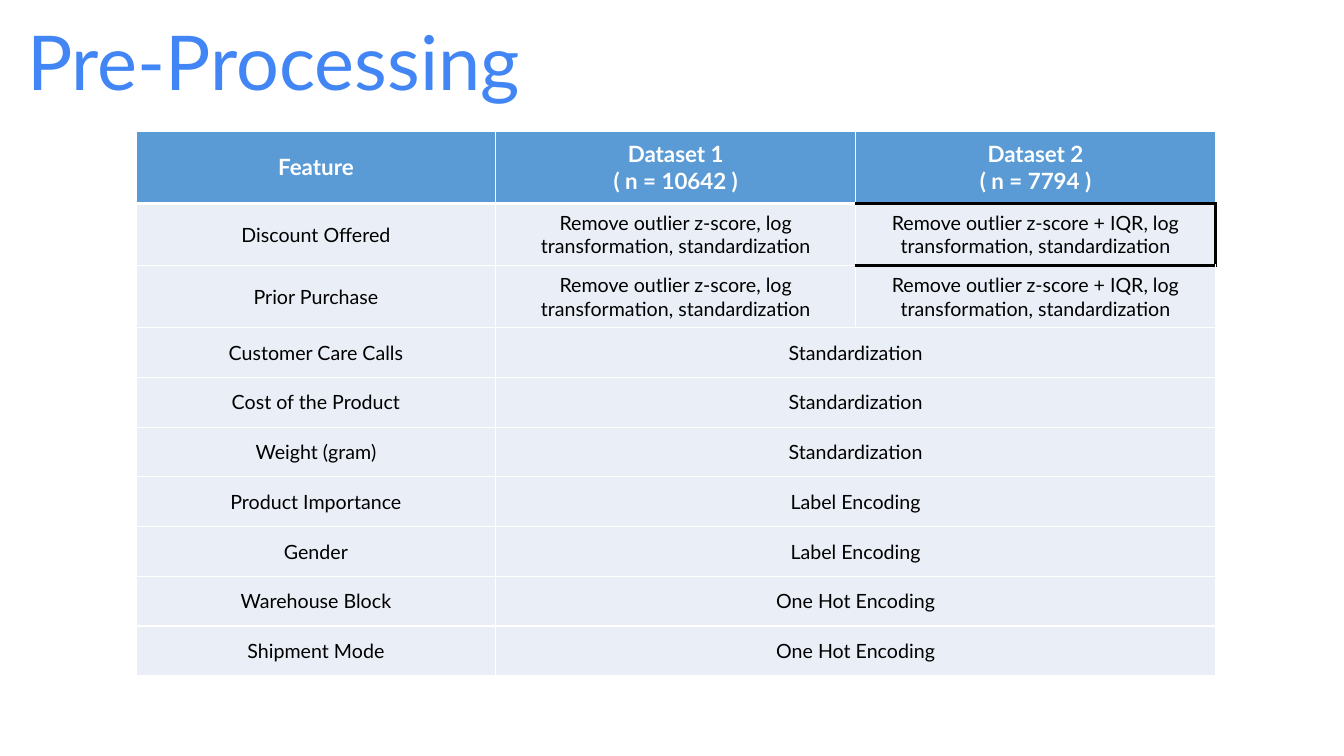
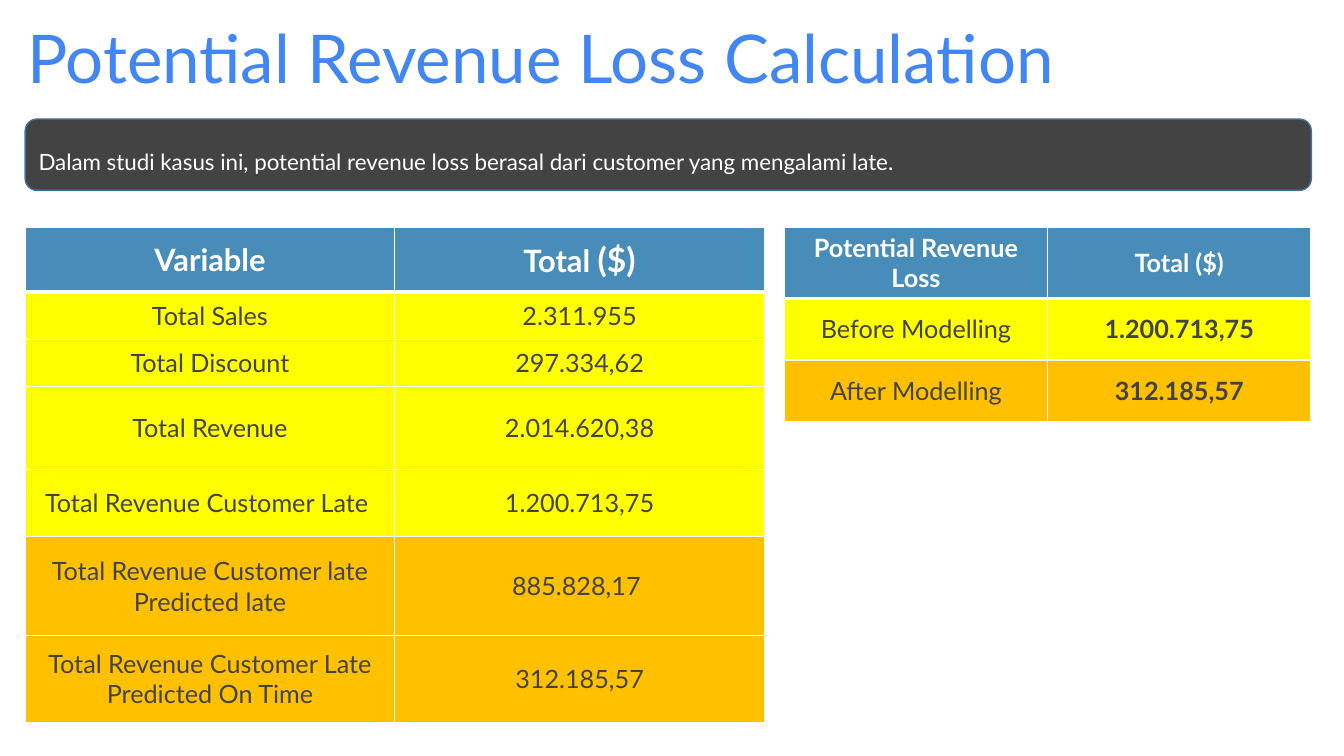
"""Build two slides on data pre-processing and potential revenue loss."""
from dataclasses import dataclass

from lxml import etree
from pptx import Presentation
from pptx.dml.color import RGBColor
from pptx.enum.shapes import MSO_SHAPE
from pptx.enum.text import MSO_ANCHOR, MSO_AUTO_SIZE, PP_ALIGN
from pptx.oxml.ns import qn
from pptx.util import Pt

LEFT, CENTER = PP_ALIGN.LEFT, PP_ALIGN.CENTER
TOP, MIDDLE = MSO_ANCHOR.TOP, MSO_ANCHOR.MIDDLE
NO_AUTOFIT = MSO_AUTO_SIZE.NONE
ROUNDED = MSO_SHAPE.ROUNDED_RECTANGLE
TITLE_ONLY = 5


@dataclass(frozen=True)
class Theme:
    font: str = "Lato"
    title: str = "4285F4"
    white: str = "FFFFFF"
    black: str = "000000"
    charcoal: str = "434343"
    banner_line: str = "43739E"
    feature_header: str = "5B9BD5"
    feature_body: str = "EAEFF7"
    revenue_header: str = "488DBA"
    yellow: str = "FFFF00"
    orange: str = "FFC000"
    title_large: int = 54
    title_small: int = 48
    symbol: int = 24
    header_large: int = 22
    figure: int = 18
    text: int = 16
    feature: int = 14
    hairline: float = 1
    header_rule: float = 3
    outline: float = 2.25


THEME = Theme()


@dataclass(frozen=True)
class CellStyle:
    fill: str
    color: str
    size: int
    bold: bool = False


@dataclass(frozen=True)
class Row:
    height: float
    texts: tuple[str, ...]
    style: CellStyle
    bold_last: bool = False


@dataclass(frozen=True)
class Grid:
    left: float
    top: float
    column_width: float
    columns: int
    rows: tuple[Row, ...]


FEATURE_HEADER = CellStyle(THEME.feature_header, THEME.white, THEME.text, True)
FEATURE_BODY = CellStyle(THEME.feature_body, THEME.black, THEME.feature)
VARIABLE_HEADER = CellStyle(THEME.revenue_header, THEME.white, THEME.header_large, True)
LOSS_HEADER = CellStyle(THEME.revenue_header, THEME.white, THEME.figure, True)
ACTUAL = CellStyle(THEME.yellow, THEME.charcoal, THEME.figure)
PREDICTED = CellStyle(THEME.orange, THEME.charcoal, THEME.figure)

OUTLIER_STEPS = (
    "Remove outlier z-score, log transformation, standardization",
    "Remove outlier z-score + IQR, log transformation, standardization",
)
SHARED_STEPS = (
    ("Customer Care Calls", "Standardization"),
    ("Cost of the Product", "Standardization"),
    ("Weight (gram)", "Standardization"),
    ("Product Importance", "Label Encoding"),
    ("Gender", "Label Encoding"),
    ("Warehouse Block", "One Hot Encoding"),
    ("Shipment Mode", "One Hot Encoding"),
)
FEATURES = Grid(97.2, 93.6, 257, 3, (
    Row(51.8, ("Feature", "Dataset 1\n( n = 10642 )", "Dataset 2\n( n = 7794 )"),
        FEATURE_HEADER),
    *(Row(44.4, (feature, *OUTLIER_STEPS), FEATURE_BODY)
      for feature in ("Discount Offered", "Prior Purchase")),
    *(Row(35.5, step, FEATURE_BODY) for step in SHARED_STEPS),
))
VARIABLES = Grid(18, 162.7, 264, 2, (
    Row(46, ("Variable", "Total "), VARIABLE_HEADER),
    Row(33.8, ("Total Sales", "2.311.955"), ACTUAL),
    Row(33.8, ("Total Discount", "297.334,62"), ACTUAL),
    Row(59, ("Total Revenue", "2.014.620,38"), ACTUAL),
    Row(48.2, ("Total Revenue Customer Late ", "1.200.713,75"), ACTUAL),
    Row(70.6, ("Total Revenue Customer late Predicted late", "885.828,17 "), PREDICTED),
    Row(62, ("Total Revenue Customer Late Predicted On Time", "312.185,57"), PREDICTED),
))
LOSSES = Grid(560.2, 162.7, 188.1, 2, (
    Row(46, ("Potential Revenue Loss", "Total ($)"), LOSS_HEADER),
    Row(44, ("Before Modelling", "1.200.713,75"), ACTUAL, True),
    Row(44, ("After Modelling", "312.185,57"), PREDICTED, True),
))


def rgb(color: str) -> RGBColor:
    """Turn a hex string into a colour."""
    return RGBColor.from_string(color)


def format_text(frame, size: int, color: str, align, bold: bool = False) -> None:
    """Give every paragraph of a text frame one font and alignment."""
    for paragraph in frame.paragraphs:
        paragraph.alignment = align
        font = paragraph.font
        font.name, font.size, font.bold = THEME.font, Pt(size), bold
        font.color.rgb = rgb(color)


def set_border(cell, side: str, color: str, width: float) -> None:
    """Draw one side (L, R, T or B) of a cell, replacing any earlier line."""
    properties = cell._tc.get_or_add_tcPr()
    tag = qn(f"a:ln{side}")
    for earlier in properties.findall(tag):
        properties.remove(earlier)
    line = etree.Element(tag, w=str(Pt(width)))
    fill = etree.SubElement(line, qn("a:solidFill"))
    etree.SubElement(fill, qn("a:srgbClr"), val=color)
    order = [qn(f"a:ln{name}") for name in "LRTB"]
    preceding = order[:order.index(tag)]
    properties.insert(sum(child.tag in preceding for child in properties), line)


def add_title(slide, text: str, width: float, height: float, size: int) -> None:
    """Place and format the slide title."""
    title = slide.shapes.title
    title.left, title.top, title.width, title.height = map(Pt, (12.2, 10.8, width, height))
    frame = title.text_frame
    frame.text = text
    frame.auto_size, frame.vertical_anchor, frame.word_wrap = NO_AUTOFIT, TOP, True
    frame.margin_left = frame.margin_right = frame.margin_top = frame.margin_bottom = Pt(7.2)
    format_text(frame, size, THEME.title, LEFT)
    frame.paragraphs[0].line_spacing = 0.9


def add_grid(slide, grid: Grid):
    """Draw a table, merging the last columns of rows that have fewer texts."""
    height = sum(row.height for row in grid.rows)
    table = slide.shapes.add_table(
        len(grid.rows), grid.columns, Pt(grid.left), Pt(grid.top),
        Pt(grid.column_width * grid.columns), Pt(height)).table
    for column in table.columns:
        column.width = Pt(grid.column_width)
    for index, row in enumerate(grid.rows):
        table.rows[index].height = Pt(row.height)
        last = len(row.texts) - 1
        if last < grid.columns - 1:
            table.cell(index, last).merge(table.cell(index, grid.columns - 1))
        for position in range(grid.columns):
            cell = table.cell(index, position)
            cell.fill.solid()
            cell.fill.fore_color.rgb = rgb(row.style.fill)
            for side in "LRTB":
                below_header = (index, side) in ((0, "B"), (1, "T"))
                set_border(cell, side, THEME.white,
                           THEME.header_rule if below_header else THEME.hairline)
        for position, text in enumerate(row.texts):
            cell = table.cell(index, position)
            cell.vertical_anchor = MIDDLE
            cell.text_frame.text = text
            bold = row.style.bold or (row.bold_last and position == last)
            format_text(cell.text_frame, row.style.size, row.style.color, CENTER, bold)
    return table


def add_banner(slide, text: str) -> None:
    """Draw the dark rounded banner with its statement."""
    banner = slide.shapes.add_shape(ROUNDED, Pt(18), Pt(85), Pt(918.7), Pt(51))
    banner.shadow.inherit = False
    banner.fill.solid()
    banner.fill.fore_color.rgb = rgb(THEME.charcoal)
    banner.line.color.rgb = rgb(THEME.banner_line)
    banner.line.width = Pt(THEME.hairline)
    frame = banner.text_frame
    frame.text = text
    frame.word_wrap, frame.vertical_anchor = True, MIDDLE
    frame.margin_top = Pt(13.2)
    format_text(frame, THEME.text, THEME.white, LEFT)


def build_preprocessing(slide) -> None:
    """Build the table of pre-processing steps per feature."""
    add_title(slide, "Pre-Processing", 587.5, 134.6, THEME.title_large)
    table = add_grid(slide, FEATURES)
    for row, side in ((0, "B"), (1, "T"), (1, "R"), (1, "B"), (2, "T")):
        set_border(table.cell(row, 2), side, THEME.black, THEME.outline)


def build_revenue_loss(slide) -> None:
    """Build the banner and both revenue tables."""
    add_title(slide, "Potential Revenue Loss Calculation", 790.6, 69.1, THEME.title_small)
    add_banner(slide, "Dalam studi kasus ini, potential revenue loss berasal dari "
                      "customer yang mengalami late.")
    variables = add_grid(slide, VARIABLES)
    currency = variables.cell(0, 1).text_frame.paragraphs[0].add_run()
    currency.text = "($)"
    currency.font.size = Pt(THEME.symbol)
    add_grid(slide, LOSSES)


def main() -> None:
    """Create and save the presentation."""
    presentation = Presentation()
    presentation.slide_width, presentation.slide_height = Pt(960), Pt(540)
    layout = presentation.slide_layouts[TITLE_ONLY]
    for build in (build_preprocessing, build_revenue_loss):
        build(presentation.slides.add_slide(layout))
    presentation.save("out.pptx")


if __name__ == "__main__":
    main()
